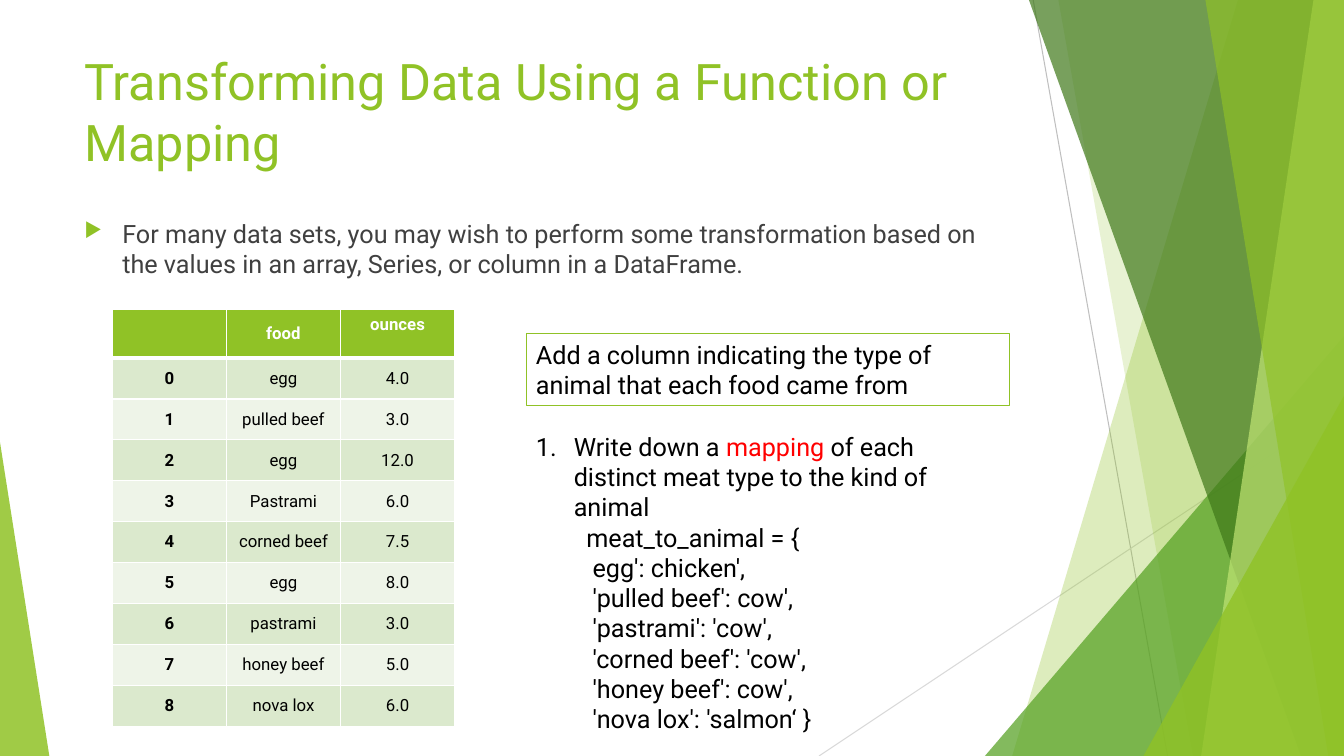
import pptx
import pptx.dml.color
import pptx.enum.shapes
import pptx.enum.text
import pptx.oxml
import pptx.oxml.ns
import pptx.util

RGBColor = pptx.dml.color.RGBColor
SHAPES = pptx.enum.shapes.MSO_SHAPE
ANCHOR = pptx.enum.text.MSO_ANCHOR
ALIGN = pptx.enum.text.PP_ALIGN

EMU_PER_PX = 9525
WIDTH, HEIGHT = 1280, 720
FONT = "Roboto"

GREEN = RGBColor(0x90, 0xC2, 0x26)
MID_GREEN = RGBColor(0x54, 0xA0, 0x21)
DARK_GREEN = RGBColor(0x3F, 0x78, 0x19)
LIME = RGBColor(0xC0, 0xE4, 0x74)
BAND_DARK = RGBColor(0xDB, 0xE9, 0xCD)
BAND_LIGHT = RGBColor(0xEE, 0xF4, 0xE8)
GRAY = RGBColor(0xBF, 0xBF, 0xBF)
LIGHT_GRAY = RGBColor(0xD9, 0xD9, 0xD9)
TEXT_GRAY = RGBColor(0x40, 0x40, 0x40)
BLACK = RGBColor(0, 0, 0)
WHITE = RGBColor(0xFF, 0xFF, 0xFF)
RED = RGBColor(0xFF, 0, 0)

FOODS = [
    ("egg", "4.0"), ("pulled beef", "3.0"), ("egg", "12.0"),
    ("Pastrami", "6.0"), ("corned beef", "7.5"), ("egg", "8.0"),
    ("pastrami", "3.0"), ("honey beef", "5.0"), ("nova lox", "6.0"),
]
MAPPING_LINES = [
    "meat_to_animal = {", " egg': chicken',", " 'pulled beef': cow',",
    " 'pastrami': 'cow',", " 'corned beef': 'cow',", " 'honey beef': cow',",
    " 'nova lox': 'salmon‘ }",
]


def px(*lengths):
    return [pptx.util.Emu(length * EMU_PER_PX) for length in lengths]


def xml(tag, content="", **attributes):
    """Make one drawing element from its tag, inner XML and attributes."""
    listed = "".join(f' {name}="{value}"' for name, value in attributes.items())
    namespace = pptx.oxml.ns.nsdecls("a")
    return pptx.oxml.parse_xml(f"<a:{tag} {namespace}{listed}>{content}</a:{tag}>")


def add_run(paragraph, text, size, color, bold=False):
    run = paragraph.add_run()
    run.text = text
    run.font.name = FONT
    run.font.size = pptx.util.Pt(size)
    run.font.bold = bold
    run.font.color.rgb = color


def indent(paragraph, left, first=0, *bullet):
    """Set the left margin and first-line indent, then any bullet elements."""
    properties = paragraph._p.get_or_add_pPr()
    left, first = px(left, first)
    properties.set("marL", str(left))
    properties.set("indent", str(first))
    properties.extend(bullet)


def tint(shape, color, opacity):
    """Fill a shape with a partly transparent colour and no outline."""
    shape.shadow.inherit = False
    shape.fill.solid()
    shape.fill.fore_color.rgb = color
    shape.line.fill.background()
    fill_color = next(shape.element.spPr.iter(pptx.oxml.ns.qn("a:srgbClr")))
    fill_color.append(xml("alpha", val=opacity * 1000))


def add_line(slide, start, end, color):
    line = slide.shapes.add_connector(
        pptx.enum.shapes.MSO_CONNECTOR.STRAIGHT, *px(*start, *end))
    line.line.color.rgb = color
    line.line.width = pptx.util.Pt(0.75)
    line.element.spPr.append(xml("effectLst"))


def add_band(slide, top_x, bottom_x, color, opacity):
    """Add a full-height band from a slanted left edge to the slide's right side."""
    builder = slide.shapes.build_freeform(top_x, 0, scale=EMU_PER_PX)
    builder.add_line_segments([(WIDTH, 0), (WIDTH, HEIGHT), (bottom_x, HEIGHT)])
    tint(builder.convert_to_shape(), color, opacity)


def add_triangle(slide, left, top, width, apex, color, opacity):
    """Add a triangle that stands on the slide's bottom edge."""
    triangle = slide.shapes.add_shape(
        SHAPES.ISOSCELES_TRIANGLE, *px(left, top, width, HEIGHT - top))
    triangle.adjustments[0] = apex
    tint(triangle, color, opacity)


def add_decoration(slide):
    add_line(slide, (984, 0), (1112, HEIGHT), GRAY)
    add_line(slide, (WIDTH, 387), (780, HEIGHT), LIGHT_GRAY)
    add_band(slide, 1179, 964, GREEN, 30)
    add_band(slide, 1008, 1136, GREEN, 20)
    add_triangle(slide, 938, 320, 342, 1, MID_GREEN, 72)
    add_band(slide, 980, 1239, DARK_GREEN, 70)
    add_band(slide, 1251, 1144, LIME, 70)
    add_band(slide, 1148, 1265, GREEN, 65)
    add_triangle(slide, 1089, 377, 191, 1, GREEN, 80)
    add_triangle(slide, 0, 421, 47, 0, GREEN, 85)


def set_title(slide, text):
    title = slide.shapes.title
    title.left, title.top, title.width, title.height = px(71, 43, 902, 138)
    frame = title.text_frame
    frame.auto_size = pptx.enum.text.MSO_AUTO_SIZE.NONE
    frame.vertical_anchor = ANCHOR.TOP
    frame.paragraphs[0].alignment = ALIGN.LEFT
    add_run(frame.paragraphs[0], text, 36, GREEN)


def add_text_box(slide, left, top, width, height):
    box = slide.shapes.add_textbox(*px(left, top, width, height))
    box.text_frame.word_wrap = True
    return box


def add_introduction(slide):
    paragraph = add_text_box(slide, 71, 203, 902, 407).text_frame.paragraphs[0]
    paragraph.space_before = pptx.util.Pt(10)
    indent(paragraph, 36, -36,
           xml("buClr", f'<a:srgbClr val="{GREEN}"/>'),
           xml("buSzPct", val=80000),
           xml("buChar", char="▶"))
    add_run(paragraph, "For many data sets, you may wish to perform some "
            "transformation based on the values in an array, Series, or column "
            "in a DataFrame.", 18, TEXT_GRAY)


def fill_cell(cell, text, color, fill, bold):
    cell.fill.solid()
    cell.fill.fore_color.rgb = fill
    cell.vertical_anchor = ANCHOR.MIDDLE
    paragraph = cell.text_frame.paragraphs[0]
    paragraph.alignment = ALIGN.CENTER
    if text:
        add_run(paragraph, text, 12, color, bold)


def set_borders(cell, top, bottom):
    """Give a cell white borders, 1 pt at the sides."""
    properties = cell._tc.get_or_add_tcPr()
    white = f'<a:solidFill><a:srgbClr val="{WHITE}"/></a:solidFill>'
    sides = [("lnL", 1), ("lnR", 1), ("lnT", top), ("lnB", bottom)]
    for position, (side, points) in enumerate(sides):
        properties.insert(position, xml(side, white, w=pptx.util.Pt(points)))


def add_food_table(slide):
    rows = [("", "food", "ounces")]
    rows += [(str(index), *food) for index, food in enumerate(FOODS)]
    header_height, row_height = 46, 39
    height = header_height + row_height * len(FOODS)
    table = slide.shapes.add_table(len(rows), 3, *px(107, 295, 326, height)).table
    for row_index, values in enumerate(rows):
        header = row_index == 0
        table.rows[row_index].height = px(header_height if header else row_height)[0]
        fill = GREEN if header else BAND_DARK if row_index % 2 else BAND_LIGHT
        for column_index, text in enumerate(values):
            cell = table.cell(row_index, column_index)
            fill_cell(cell, text, WHITE if header else BLACK, fill,
                      header or column_index == 0)
            set_borders(cell, 3 if row_index == 1 else 1, 3 if header else 1)
    table.cell(0, 2).vertical_anchor = ANCHOR.TOP


def add_task(slide):
    task = slide.shapes.add_shape(SHAPES.RECTANGLE, *px(501, 318, 460, 68))
    task.shadow.inherit = False
    task.fill.background()
    task.line.color.rgb = GREEN
    task.line.width = pptx.util.Pt(0.75)
    paragraph = task.text_frame.paragraphs[0]
    paragraph.alignment = ALIGN.LEFT
    add_run(paragraph, "Add a column indicating the type of animal that each "
            "food came from", 18, BLACK)


def add_mapping_steps(slide):
    frame = add_text_box(slide, 501, 406, 460, 300).text_frame
    step = frame.paragraphs[0]
    indent(step, 36, -36, xml("buAutoNum", type="arabicPeriod"))
    add_run(step, "Write down a ", 18, BLACK)
    add_run(step, "mapping", 18, RED)
    add_run(step, " of each distinct meat type to the kind of animal", 18, BLACK)
    for line in MAPPING_LINES:
        paragraph = frame.add_paragraph()
        paragraph.level = 1
        indent(paragraph, 48)
        add_run(paragraph, line, 18, BLACK)


def main():
    presentation = pptx.Presentation()
    presentation.slide_width, presentation.slide_height = px(WIDTH, HEIGHT)
    slide = presentation.slides.add_slide(presentation.slide_layouts[5])
    add_decoration(slide)
    set_title(slide, "Transforming Data Using a Function or Mapping")
    add_introduction(slide)
    add_food_table(slide)
    add_task(slide)
    add_mapping_steps(slide)
    presentation.save("out.pptx")


if __name__ == "__main__":
    main()
